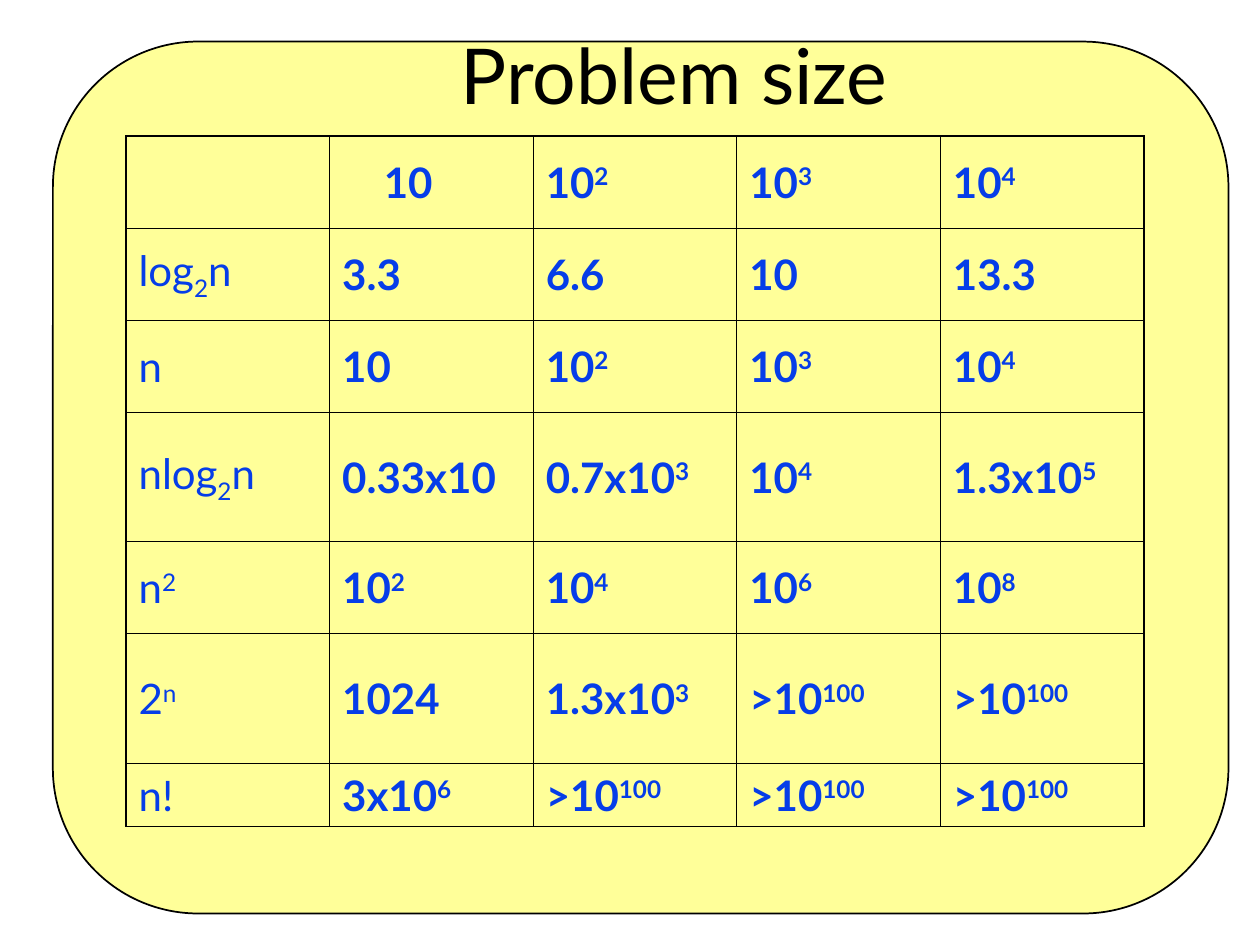
import lxml.etree
import pptx
import pptx.dml.color
import pptx.enum.shapes
import pptx.enum.text
import pptx.oxml.ns
import pptx.util

Inches = pptx.util.Inches
Pt = pptx.util.Pt
ANCHOR = pptx.enum.text.MSO_ANCHOR

INK = "000000"
CARD = "FFFF99"
BLUE = "063DE8"
FACE = "Lato"
THIN, THICK = 0.45, 1.08
SHIFTS = {"^": "30000", "_": "-25000"}

ROWS = [
    ["", "10", "10|^2", "10|^3", "10|^4"],
    ["log|_2|n", "3.3", "6.6", "10", "13.3"],
    ["n", "10", "10|^2", "10|^3", "10|^4"],
    ["nlog|_2|n", "0.33x10", "0.7x10|^3", "10|^4", "1.3x10|^5"],
    ["n|^2", "10|^2", "10|^4", "10|^6", "10|^8"],
    ["2|^n", "1024", "1.3x10|^3", ">10|^100", ">10|^100"],
    ["n!", "3x10|^6", ">10|^100", ">10|^100", ">10|^100"],
]
HEIGHTS = [0.73, 0.73, 0.73, 1.03, 0.73, 1.03, 0.5]
WIDTH = 8.08


def color(code):
    return pptx.dml.color.RGBColor.from_string(code)


def assign(item, values):
    for name, value in values.items():
        setattr(item, name, value)


def style(font, size, code, bold=False):
    assign(font, {"name": FACE, "size": Pt(size), "bold": bold})
    font.color.rgb = color(code)


def add_card(slide):
    card = slide.shapes.add_shape(
        pptx.enum.shapes.MSO_SHAPE.ROUNDED_RECTANGLE,
        Inches(0.42), Inches(0.33), Inches(9.33), Inches(6.92))
    card.shadow.inherit = False
    card.fill.solid()
    card.fill.fore_color.rgb = color(CARD)
    card.line.color.rgb = color(INK)
    card.line.width = Pt(1)
    slide.shapes._spTree.insert(2, card._element)


def set_title(slide, text):
    title = slide.shapes.title
    assign(title, {"left": Inches(1.17), "top": Inches(-0.25),
                   "width": Inches(8.52), "height": Inches(1.25)})
    frame = title.text_frame
    frame.text = text
    assign(frame, {"vertical_anchor": ANCHOR.BOTTOM, "word_wrap": True,
                   "auto_size": pptx.enum.text.MSO_AUTO_SIZE.NONE})
    line = frame.paragraphs[0]
    line.alignment = pptx.enum.text.PP_ALIGN.CENTER
    style(line.runs[0].font, 44, INK)


def add_edges(cell, widths):
    props = cell._tc.get_or_add_tcPr()
    tag = pptx.oxml.ns.qn
    for side, width in widths.items():
        edge = lxml.etree.SubElement(
            props, tag("a:ln" + side), w=str(int(Pt(width))))
        fill = lxml.etree.SubElement(edge, tag("a:solidFill"))
        lxml.etree.SubElement(fill, tag("a:srgbClr"), val=INK)


def write(cell, markup, bold):
    line = cell.text_frame.paragraphs[0]
    for part in filter(None, markup.split("|")):
        run = line.add_run()
        run.text = part.lstrip("^_")
        style(run.font, 24, BLUE, bold)
        if part[0] in SHIFTS:
            run._r.get_or_add_rPr().set("baseline", SHIFTS[part[0]])


def add_grid(slide):
    count, span = len(ROWS), len(ROWS[0])
    grid = slide.shapes.add_table(
        count, span, Inches(1), Inches(1.08),
        Inches(WIDTH), Inches(sum(HEIGHTS))).table
    assign(grid, {"first_row": False, "horz_banding": False})
    for col in grid.columns:
        col.width = Inches(WIDTH / span)
    for r, (row, height) in enumerate(zip(ROWS, HEIGHTS)):
        grid.rows[r].height = Inches(height)
        for c, markup in enumerate(row):
            cell = grid.cell(r, c)
            assign(cell, {"vertical_anchor": ANCHOR.MIDDLE,
                          "margin_left": Inches(0.1),
                          "margin_right": Inches(0.1),
                          "margin_top": Inches(0.05),
                          "margin_bottom": Inches(0.05)})
            add_edges(cell, {"L": THICK if c == 0 else THIN,
                             "R": THICK if c == span - 1 else THIN,
                             "T": THICK if r == 0 else THIN,
                             "B": THICK if r == count - 1 else THIN})
            cell.fill.background()
            write(cell, markup, c > 0)
    grid.cell(0, 1).margin_left = Inches(0.43)


def main():
    deck = pptx.Presentation()
    assign(deck, {"slide_width": Inches(10), "slide_height": Inches(7.5)})
    slide = deck.slides.add_slide(deck.slide_layouts[5])
    add_card(slide)
    set_title(slide, "Problem size ")
    add_grid(slide)
    deck.save("out.pptx")


if __name__ == "__main__":
    main()
